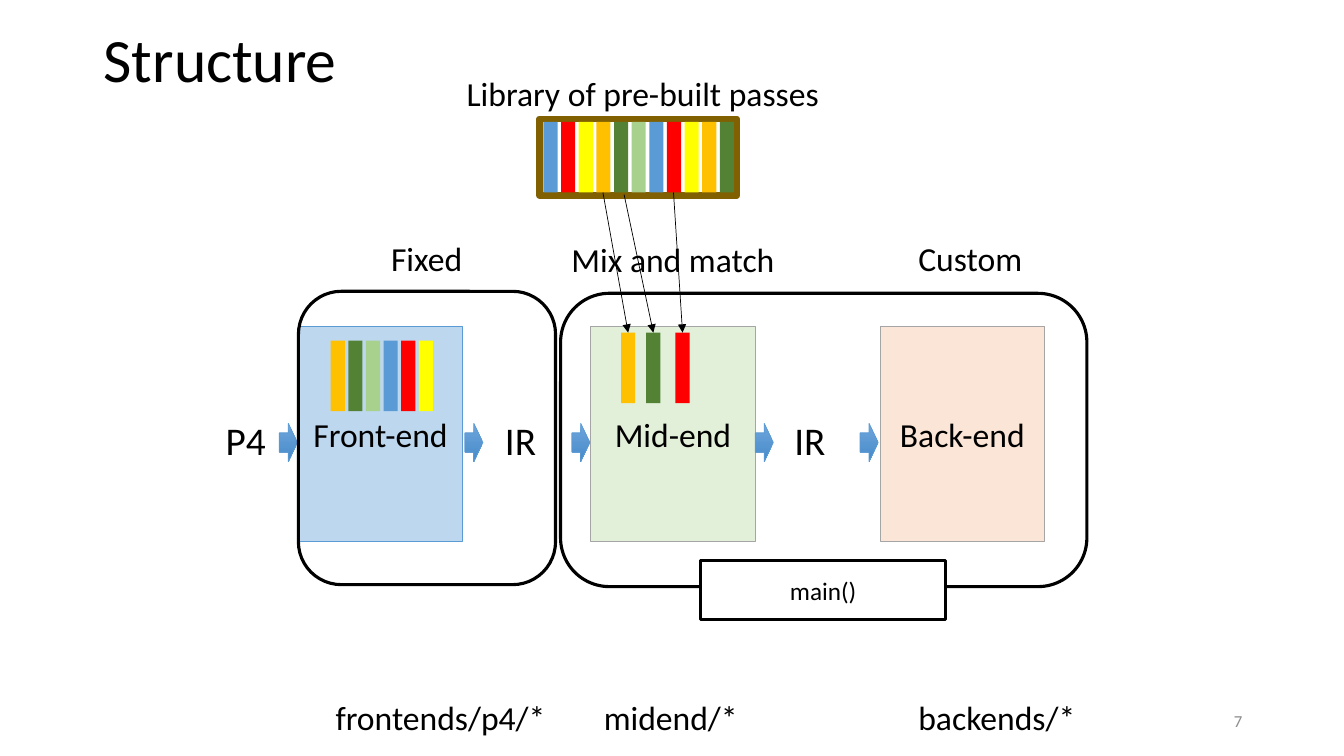
import pptx
import pptx.util
import pptx.dml.color
import pptx.enum.shapes
import pptx.enum.text
import pptx.oxml.ns
from lxml import etree

Inches = pptx.util.Inches
Pt = pptx.util.Pt
RGB = pptx.dml.color.RGBColor
SHAPE = pptx.enum.shapes.MSO_SHAPE
ALIGN = pptx.enum.text.PP_ALIGN
ANCHOR = pptx.enum.text.MSO_ANCHOR

BLACK = RGB(0x00, 0x00, 0x00)
WHITE = RGB(0xFF, 0xFF, 0xFF)
GRAY = RGB(0xA5, 0xA5, 0xA5)
NUMBER_GRAY = RGB(0x8C, 0x8C, 0x8C)
BLUE = RGB(0x5B, 0x9B, 0xD5)
RED = RGB(0xFF, 0x00, 0x00)
YELLOW = RGB(0xFF, 0xFF, 0x00)
GOLD = RGB(0xFF, 0xC0, 0x00)
GREEN = RGB(0x54, 0x82, 0x35)
LIGHT_GREEN = RGB(0xA9, 0xD1, 0x8E)
BROWN = RGB(0x80, 0x60, 0x00)
PALE_BLUE = RGB(0xBD, 0xD7, 0xEE)
PALE_GREEN = RGB(0xE2, 0xF0, 0xD9)
PALE_ORANGE = RGB(0xFB, 0xE5, 0xD6)
ARROW_TOP = RGB(0x71, 0xA6, 0xDB)
ARROW_BOTTOM = RGB(0x44, 0x8A, 0xCA)

PASS_WIDTH, PASS_HEIGHT, PASS_PITCH = 0.14, 0.7, 0.175
LIBRARY_PASSES = [BLUE, RED, YELLOW, GOLD, GREEN, LIGHT_GREEN,
                  BLUE, RED, YELLOW, GOLD, GREEN]
FRONT_END_PASSES = [GOLD, GREEN, LIGHT_GREEN, BLUE, RED, YELLOW]
MID_END_PASSES = [(6.16, GOLD), (6.41, GREEN), (6.7, RED)]
STAGES = [(5.86, "Mid-end", PALE_GREEN, GRAY),
          (2.96, "Front-end", PALE_BLUE, BLUE),
          (8.73, "Back-end", PALE_ORANGE, GRAY)]
FLOW_LABELS = [(2.14, 0.6, "P4"), (4.91, 0.51, "IR"), (7.78, 0.51, "IR")]
FLOW_ARROWS = [2.77, 4.61, 5.67, 7.49, 8.53]
FRAMES = [(2.96, 2.89, 2.55), (5.56, 2.91, 5.22)]
PICKS = [(5.98, 1.91, 6.23), (6.19, 1.93, 6.48), (6.68, 1.91, 6.77)]
CAPTIONS = [(4.53, 0.67, 3.73, "Library of pre-built passes"),
            (3.78, 2.31, 0.92, "Fixed"),
            (5.57, 2.32, 2.23, "Mix and match"),
            (9.01, 2.31, 1.24, "Custom"),
            (3.23, 6.86, 2.31, "frontends/p4/*"),
            (5.89, 6.86, 1.54, "midend/*"),
            (9.01, 6.86, 1.78, "backends/*")]


def write_text(shape, text, size, color=BLACK, align=ALIGN.LEFT, line_spacing=None):
    para = shape.text_frame.paragraphs[0]
    para.alignment = align
    para.line_spacing = line_spacing
    span = para.add_run()
    span.text = text
    font_format = {"name": "Calibri", "size": Pt(size)}
    for name, value in font_format.items():
        setattr(span.font, name, value)
    span.font.color.rgb = color


def add_label(page, at, text, size, wrap=False, anchor=ANCHOR.TOP, **style):
    box = page.shapes.add_textbox(*map(Inches, at))
    frame_format = {"word_wrap": wrap, "vertical_anchor": anchor}
    for name, value in frame_format.items():
        setattr(box.text_frame, name, value)
    write_text(box, text, size, **style)


def add_block(page, kind, at, fill=None, line=None, weight=0.5):
    """Add a preset shape; no fill or line colour means none is drawn."""
    block = page.shapes.add_shape(kind, *map(Inches, at))
    block.shadow.inherit = False
    if fill is None:
        block.fill.background()
    else:
        block.fill.solid()
        block.fill.fore_color.rgb = fill
    if line is None:
        block.line.fill.background()
    else:
        block.line.color.rgb = line
        block.line.width = Pt(weight)
    return block


def add_titled_block(page, at, text, size, **style):
    block = add_block(page, SHAPE.RECTANGLE, at, **style)
    block.text_frame.vertical_anchor = ANCHOR.MIDDLE
    write_text(block, text, size, align=ALIGN.CENTER)


def add_pass(page, left, top, color):
    add_block(page, SHAPE.RECTANGLE, (left, top, PASS_WIDTH, PASS_HEIGHT), color)


def add_pass_row(page, left, top, colors):
    for index, color in enumerate(colors):
        add_pass(page, left + index * PASS_PITCH, top, color)


def add_flow_arrow(page, left):
    arrow = add_block(page, SHAPE.RIGHT_ARROW, (left, 4.2, 0.18, 0.38), line=BLUE)
    arrow.fill.gradient()
    arrow.fill.gradient_angle = 270
    for stop, color in zip(arrow.fill.gradient_stops, (ARROW_TOP, ARROW_BOTTOM)):
        stop.color.rgb = color


def add_pick_arrow(page, start_x, start_y, end_x):
    """Draw an arrow from a library pass to its place in the mid-end."""
    ends = map(Inches, (start_x, start_y, end_x, 3.3))
    arrow = page.shapes.add_connector(pptx.enum.shapes.MSO_CONNECTOR.STRAIGHT, *ends)
    arrow.line.color.rgb = BLACK
    arrow.line.width = Pt(0.5)
    qn = pptx.oxml.ns.qn
    properties = arrow.element.spPr
    etree.SubElement(properties.find(qn("a:ln")), qn("a:tailEnd"), type="triangle")
    etree.SubElement(properties, qn("a:effectLst"))


def main():
    deck = pptx.Presentation()
    deck.slide_width, deck.slide_height = Inches(13.33), Inches(7.5)
    page = deck.slides.add_slide(deck.slide_layouts[6])

    add_label(page, (0.93, 0.24, 11.5, 0.77), "Structure", 44, wrap=True,
              anchor=ANCHOR.MIDDLE, line_spacing=0.9)
    for left, name, fill, line in STAGES:
        add_titled_block(page, (left, 3.24, 1.63, 2.13), name, 24, fill=fill, line=line)
    for left, width, text in FLOW_LABELS:
        add_label(page, (left, 4.08, width, 0.57), text, 28)
    for left in FLOW_ARROWS:
        add_flow_arrow(page, left)
    for left, top, width in FRAMES:
        add_block(page, SHAPE.ROUNDED_RECTANGLE, (left, top, width, 2.91),
                  line=BLACK, weight=2.25)
    add_titled_block(page, (6.95, 5.56, 2.43, 0.59), "main()", 18,
                     fill=WHITE, line=BLACK, weight=2.25)

    add_block(page, SHAPE.RECTANGLE, (5.35, 1.18, 1.96, 0.76), line=BROWN, weight=4.5)
    add_pass_row(page, 5.39, 1.21, LIBRARY_PASSES)
    add_pass_row(page, 3.28, 3.38, FRONT_END_PASSES)
    for left, color in MID_END_PASSES:
        add_pass(page, left, 3.3, color)
    for pick in PICKS:
        add_pick_arrow(page, *pick)

    for left, top, width, text in CAPTIONS:
        add_label(page, (left, top, width, 0.5), text, 24)
    add_label(page, (9.42, 6.95, 3, 0.4), "7", 12, wrap=True, anchor=ANCHOR.MIDDLE,
              color=NUMBER_GRAY, align=ALIGN.RIGHT)
    deck.save("out.pptx")


if __name__ == "__main__":
    main()
